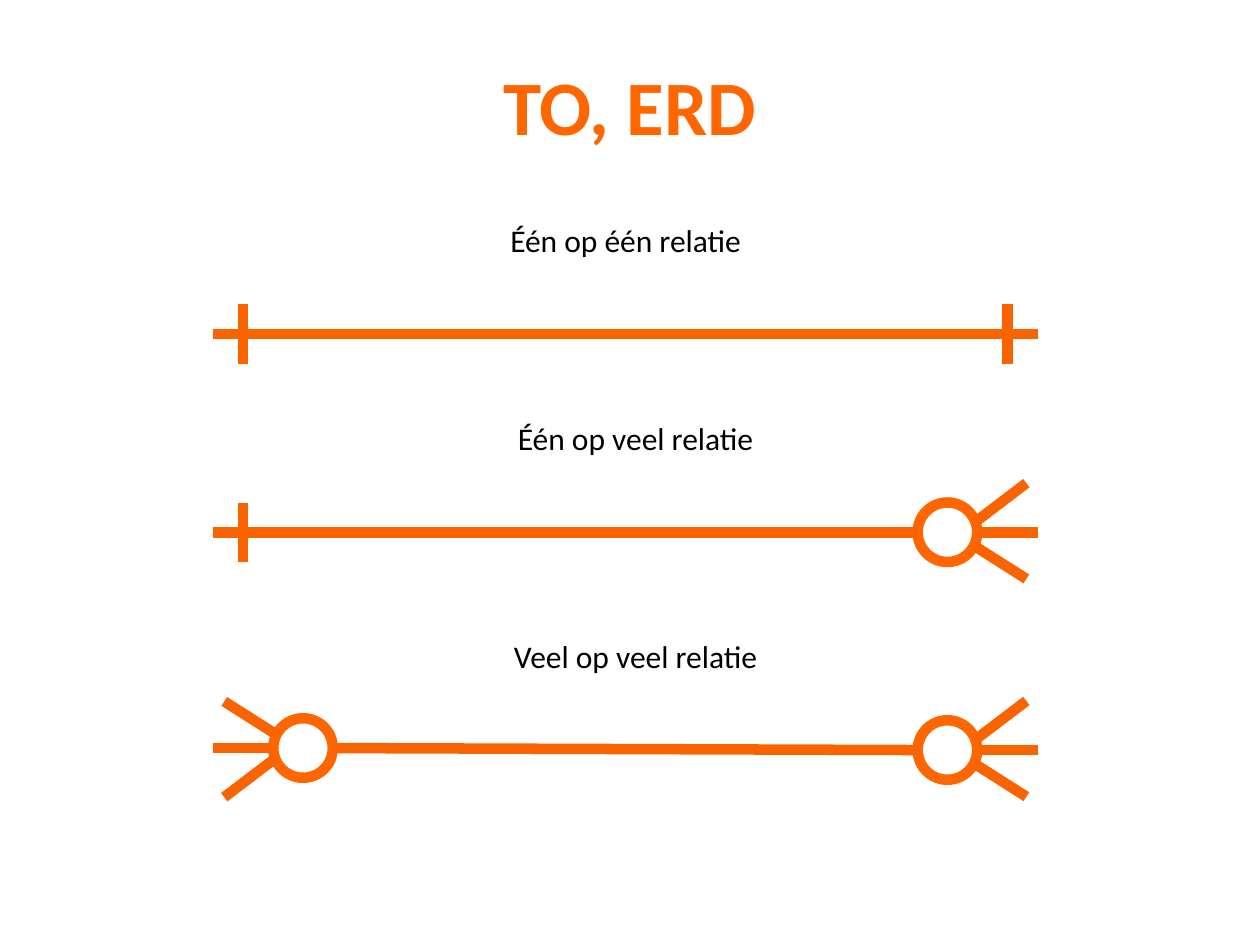
import pptx
import pptx.dml.color
import pptx.enum.shapes
import pptx.enum.text
import pptx.oxml
import pptx.oxml.ns
import pptx.util
from pptx.util import Cm

ORANGE = pptx.dml.color.RGBColor(0xFF, 0x66, 0x00)
DARK_ORANGE = pptx.dml.color.RGBColor(0xF9, 0x64, 0x00)
BLACK = pptx.dml.color.RGBColor(0x00, 0x00, 0x00)
FONT = "Calibri"
LINE_WIDTH = pptx.util.Pt(6)

LEFT_TIP, RIGHT_TIP = 4.29, 20.92
BAR_INSET, BAR_HALF = 0.61, 0.6
RADIUS, CIRCLE_INSET = 0.6, 1.82
# Crow's foot toes: (inset, rise) at the tip and at the circle
TOES = (
    ((0, 0), (1.2, 0)),
    ((0.23, -0.99), (1.27, -0.2)),
    ((0.23, 0.94), (1.27, 0.28)),
)
LABEL_WIDTH, LABEL_HEIGHT, LABEL_RISE = 8.61, 1.02, 2.4

# label, label left, (left end, its y), (right end, its y)
RELATIONS = (
    ("Één op één relatie", 8.31, ("one", 6.73), ("one", 6.73)),
    ("Één op veel relatie", 8.51, ("one", 10.73), ("many", 10.73)),
    ("Veel op veel relatie", 8.51, ("many", 15.08), ("many", 15.12)),
)


def write_text(shape, text, size, color, bold=False):
    frame = shape.text_frame
    frame.word_wrap = True
    paragraph = frame.paragraphs[0]
    paragraph.alignment = pptx.enum.text.PP_ALIGN.CENTER
    run = paragraph.add_run()
    run.text = text
    run.font.name = FONT
    run.font.size = pptx.util.Pt(size)
    run.font.bold = bold
    run.font.color.rgb = color


def add_title(slide, text):
    title = slide.shapes.title
    title.left, title.top = Cm(0.5), Cm(0.53)
    title.width, title.height = Cm(24.4), Cm(3.18)
    title.text_frame.vertical_anchor = pptx.enum.text.MSO_ANCHOR.MIDDLE
    write_text(title, text, 44, ORANGE, bold=True)


def add_label(slide, text, left, top):
    box = slide.shapes.add_textbox(
        Cm(left), Cm(top), Cm(LABEL_WIDTH), Cm(LABEL_HEIGHT))
    write_text(box, text, 18, BLACK)
    box.text_frame.auto_size = pptx.enum.text.MSO_AUTO_SIZE.SHAPE_TO_FIT_TEXT


def add_line(group, x1, y1, x2, y2):
    line = group.shapes.add_connector(
        pptx.enum.shapes.MSO_CONNECTOR.STRAIGHT, Cm(x1), Cm(y1), Cm(x2), Cm(y2))
    line.line.color.rgb = DARK_ORANGE
    line.line.width = LINE_WIDTH
    properties = line._element.spPr
    properties.append(pptx.oxml.parse_xml(
        "<a:effectLst %s/>" % pptx.oxml.ns.nsdecls("a")))


def add_circle(group, x, y):
    circle = group.shapes.add_shape(
        pptx.enum.shapes.MSO_SHAPE.OVAL,
        Cm(x - RADIUS), Cm(y - RADIUS), Cm(2 * RADIUS), Cm(2 * RADIUS))
    circle.shadow.inherit = False
    circle.fill.background()
    circle.line.color.rgb = ORANGE
    circle.line.width = LINE_WIDTH


def add_end(group, kind, tip, y, inward):
    """Draw one end symbol and return the x where the main line starts.

    inward is 1 for a left end and -1 for a right end.
    """
    if kind == "one":
        x = tip + inward * BAR_INSET
        add_line(group, x, y - BAR_HALF, x, y + BAR_HALF)
        return tip
    add_circle(group, tip + inward * CIRCLE_INSET, y)
    for (tip_inset, tip_rise), (inset, rise) in TOES:
        # The left foot is the right foot turned by 180 degrees
        add_line(group,
                 tip + inward * tip_inset, y - inward * tip_rise,
                 tip + inward * inset, y - inward * rise)
    return tip + inward * (CIRCLE_INSET + RADIUS)


def add_relation(slide, left_end, right_end):
    group = slide.shapes.add_group_shape()
    left_kind, left_y = left_end
    right_kind, right_y = right_end
    start = add_end(group, left_kind, LEFT_TIP, left_y, 1)
    end = add_end(group, right_kind, RIGHT_TIP, right_y, -1)
    add_line(group, start, left_y, end, right_y)


def main():
    presentation = pptx.Presentation()
    presentation.slide_width = Cm(25.4)
    presentation.slide_height = Cm(19.05)
    slide = presentation.slides.add_slide(presentation.slide_layouts[5])
    add_title(slide, "TO, ERD")
    for label, label_left, left_end, right_end in RELATIONS:
        add_relation(slide, left_end, right_end)
        add_label(slide, label, label_left, right_end[1] - LABEL_RISE)
    presentation.save("out.pptx")


if __name__ == "__main__":
    main()
